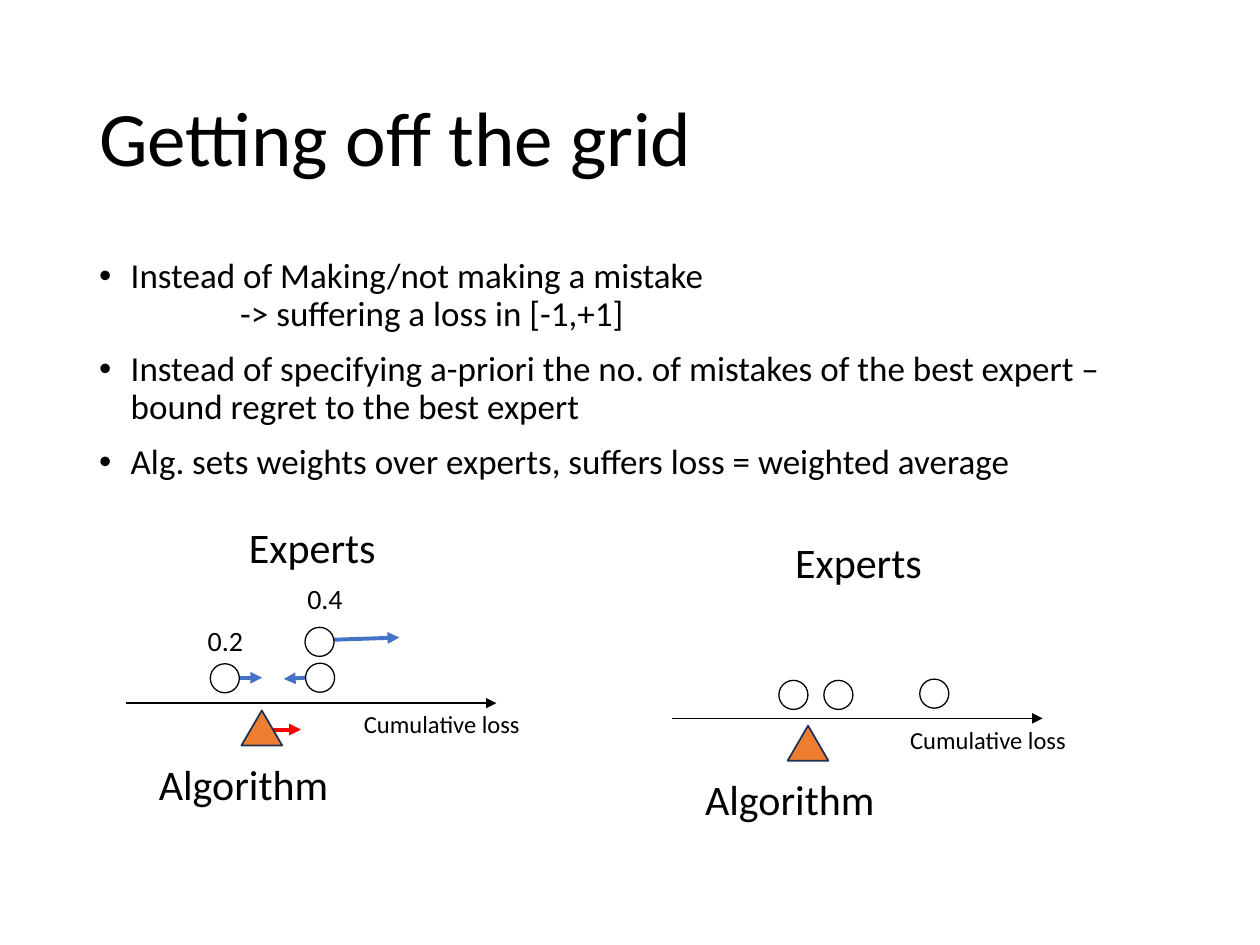
"""Build the slide on experts, regret and weighted loss."""
from dataclasses import dataclass

from lxml import etree
from pptx import Presentation
from pptx.dml.color import RGBColor
from pptx.enum.shapes import MSO_CONNECTOR, MSO_SHAPE
from pptx.enum.text import MSO_ANCHOR, MSO_AUTO_SIZE, PP_ALIGN
from pptx.oxml.ns import qn
from pptx.util import Pt

LINE = MSO_CONNECTOR.STRAIGHT
OVAL, PEAK = MSO_SHAPE.OVAL, MSO_SHAPE.ISOSCELES_TRIANGLE
LEFT = PP_ALIGN.LEFT
TOP, MIDDLE = MSO_ANCHOR.TOP, MSO_ANCHOR.MIDDLE
FIXED, GROW = MSO_AUTO_SIZE.NONE, MSO_AUTO_SIZE.SHAPE_TO_FIT_TEXT


@dataclass(frozen=True)
class Theme:
    """Hold the colours, font and type sizes."""
    font: str = "Calibri"
    ink: str = "000000"
    paper: str = "FFFFFF"
    push: str = "4472C4"
    move: str = "FF0000"
    alg: str = "ED7D31"
    edge: str = "1E3256"
    title: int = 44
    body: int = 20
    head: int = 24
    weight: int = 16
    axis: int = 14


THEME = Theme()
DOT = 16.6
SHIFT = 312.1, 8.7
POINTS = (
    ("Instead of Making/not making a mistake", True),
    ("-> suffering a loss in [-1,+1]", False),
    ("Instead of specifying a-priori the no. of mistakes of the best expert "
     "– bound regret to the best expert", True),
    ("Alg. sets weights over experts, suffers loss = weighted average", True),
)
PUSHES = ((184.3, 365.8, 228.2, 364.3), (182.9, 386.8, 162.2, 388),
          (127.4, 387.3, 149.8, 387.3))
BEFORE = (174.3, 358.5), (174.6, 379), (120.2, 379.3)
AFTER = (525.6, 388.1), (470.8, 388.8), (445.1, 388.8)


def place(shape, x, y, wide, high):
    """Set the frame of a shape."""
    shape.left, shape.top = Pt(x), Pt(y)
    shape.width, shape.height = Pt(wide), Pt(high)


def style(para, size, indent=0, hang=0, bullet=False):
    """Set the indents, bullet and font of a paragraph."""
    props = para._p.get_or_add_pPr()
    props.set("marL", str(Pt(indent)))
    props.set("indent", str(Pt(hang)))
    if bullet:
        etree.SubElement(props, qn("a:buFont"), typeface="Arial")
        etree.SubElement(props, qn("a:buChar"), char="•")
    else:
        etree.SubElement(props, qn("a:buNone"))
    para.alignment = LEFT
    para.font.name, para.font.size = THEME.font, Pt(size)
    para.font.color.rgb = RGBColor.from_string(THEME.ink)


def label(slide, text, x, y, wide, size):
    """Add a text label."""
    box = slide.shapes.add_textbox(Pt(x), Pt(y), Pt(wide), Pt(size * 1.2 + 7.2))
    frame = box.text_frame
    frame.word_wrap, frame.auto_size = True, GROW
    frame.text = text
    style(frame.paragraphs[0], size, indent=2.9)


def arrow(slide, x1, y1, x2, y2, color, width):
    """Add an arrow with its head at the second point."""
    line = slide.shapes.add_connector(LINE, Pt(x1), Pt(y1), Pt(x2), Pt(y2))
    line.line.color.rgb = RGBColor.from_string(color)
    line.line.width = Pt(width)
    etree.SubElement(line.line._get_or_add_ln(), qn("a:tailEnd"), type="triangle")
    etree.SubElement(line._element.spPr, qn("a:effectLst"))


def form(slide, kind, x, y, wide, high, fill, edge, width):
    """Add a filled and outlined shape."""
    shape = slide.shapes.add_shape(kind, Pt(x), Pt(y), Pt(wide), Pt(high))
    shape.shadow.inherit = False
    shape.fill.solid()
    shape.fill.fore_color.rgb = RGBColor.from_string(fill)
    shape.line.color.rgb = RGBColor.from_string(edge)
    shape.line.width = Pt(width)


def panel(slide, dots, dx=0, dy=0):
    """Draw the experts and the algorithm along a loss axis."""
    for x, y in dots:
        form(slide, OVAL, x, y, DOT, DOT, THEME.paper, THEME.ink, 0.75)
    arrow(slide, 72 + dx, 401.8 + dy, 283.7 + dx, 401.8 + dy, THEME.ink, 0.75)
    form(slide, PEAK, 138 + dx, 406 + dy, 23.3, 20, THEME.alg, THEME.edge, 1)
    label(slide, "Cumulative loss", 198 + dx, 401.8 + dy, 138, THEME.axis)
    label(slide, "Experts", 132.3 + dx, 294.5 + dy, 101, THEME.head)
    label(slide, "Algorithm", 80.8 + dx, 430 + dy, 125, THEME.head)


def title(slide):
    """Fill the title placeholder."""
    shape = slide.shapes.title
    place(shape, 49.5, 28.8, 621, 104.4)
    frame = shape.text_frame
    frame.text = "Getting off the grid"
    frame.vertical_anchor, frame.auto_size = MIDDLE, FIXED
    para = frame.paragraphs[0]
    style(para, THEME.title)
    para.line_spacing = 0.9


def body(slide):
    """Fill the list placeholder."""
    shape = slide.placeholders[1]
    place(shape, 49.5, 144, 621, 156)
    frame = shape.text_frame
    frame.text = "\n".join(text for text, _ in POINTS)
    frame.vertical_anchor, frame.auto_size = TOP, FIXED
    for i, (para, (_, bullet)) in enumerate(zip(frame.paragraphs, POINTS)):
        indent, hang = (18, -18) if bullet else (80.6, 0)
        style(para, THEME.body, indent, hang, bullet)
        para.line_spacing = 0.9
        para.space_before = Pt(10 if bullet and i else 0)


def main():
    """Build and save the slide."""
    deck = Presentation()
    deck.slide_width, deck.slide_height = Pt(720), Pt(540)
    slide = deck.slides.add_slide(deck.slide_layouts[1])
    title(slide)
    body(slide)
    label(slide, "0.2", 108.7, 352.8, 48, THEME.weight)
    label(slide, "0.4", 165.6, 329, 48, THEME.weight)
    for ends in PUSHES:
        arrow(slide, *ends, THEME.push, 2.25)
    arrow(slide, 149.8, 416.9, 172, 416.9, THEME.move, 2.25)
    panel(slide, BEFORE)
    panel(slide, AFTER, *SHIFT)
    deck.save("out.pptx")


if __name__ == "__main__":
    main()
